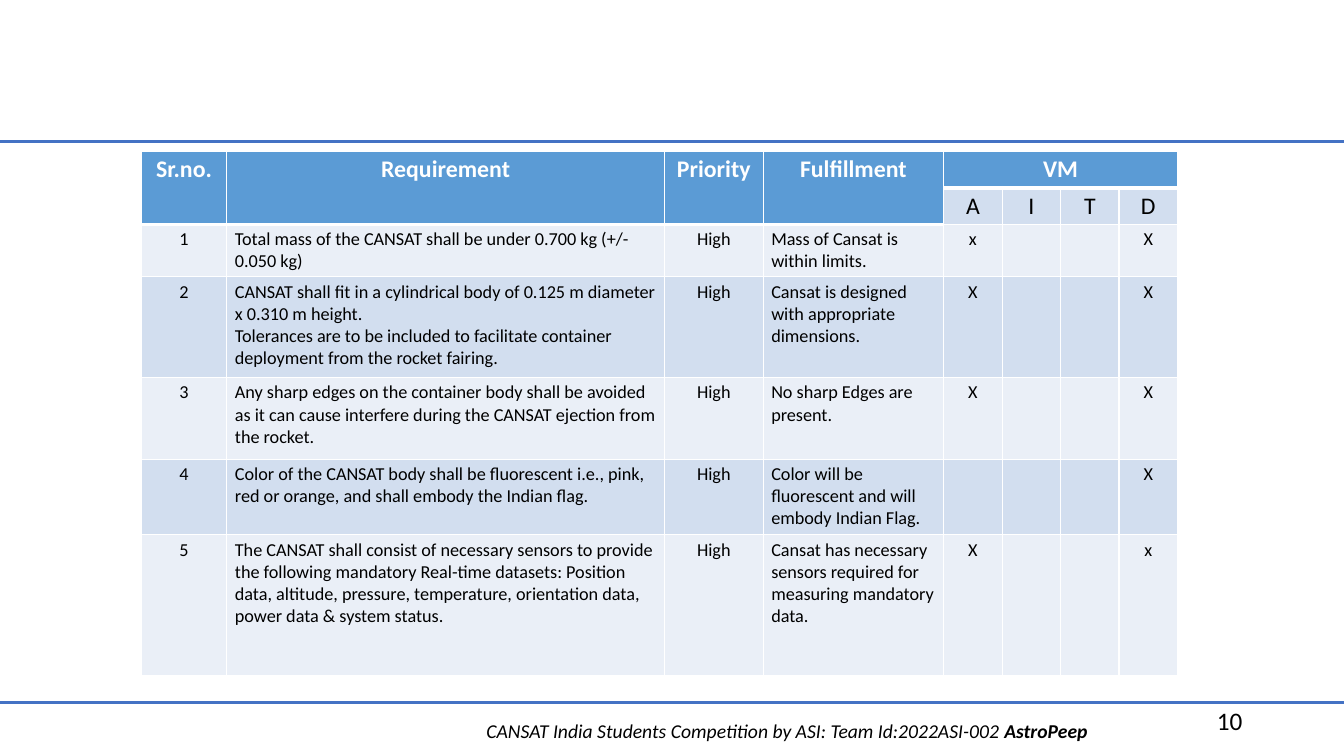
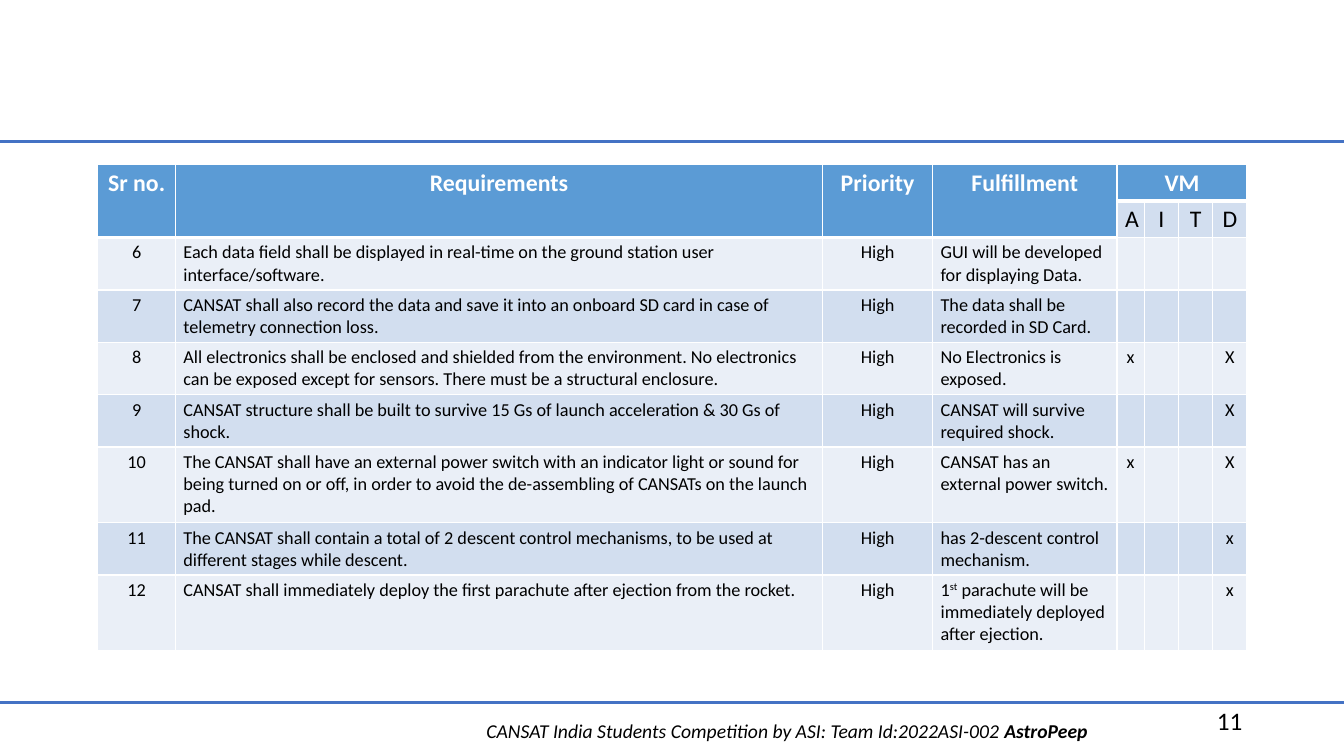
from lxml import etree
from pptx import Presentation
from pptx import util as u
from pptx.dml.color import RGBColor
from pptx.enum import shapes, text
from pptx.oxml import ns

WIDTH, HEIGHT = 13.33, 7.5
COLORS = {"rule": "4472C4", "header": "5B9BD5", "odd": "EAEFF7", "even": "D2DEEF",
          "white": "FFFFFF", "black": "000000"}
FORMATS = {
    "header": {"size": u.Pt(17), "bold": True, "color": "white"},
    "method": {"size": u.Pt(17), "bold": False, "color": "black"},
    "body": {"size": u.Pt(13), "bold": False, "color": "black"},
    "footer": {"size": u.Pt(14), "italic": True, "color": "black"},
    "number": {"size": u.Pt(18), "color": "black"},
}
FOOTER = ("CANSAT India Students Competition by ASI: Team Id:2022ASI-002 ", "AstroPeep")
RULE_TOPS = (6.97, 1.4)
METHODS = ("A", "I", "T", "D")
PRIORITY = "High"
TEXT_COLUMNS = 4
HEADER_ROWS = 2
HEADER_HEIGHT = 0.36
LEFT, CENTER, RIGHT = text.PP_ALIGN.LEFT, text.PP_ALIGN.CENTER, text.PP_ALIGN.RIGHT

PAGES = [
    {
        "number": 10, "first": 1, "left": 1.4, "top": 1.5,
        "columns": (0.85, 4.34, 0.98, 1.79, 0.58, 0.58, 0.58, 0.58),
        "heights": (0.52, 1, 0.81, 0.75, 1.4),
        "headings": ("Sr.no.", "Requirement", "Priority", "Fulfillment", "VM"),
        "requirements": [
            ("Total mass of the CANSAT shall be under 0.700 kg (+/- 0.050 kg)",
             "Mass of Cansat is within limits.", {"A": "x", "D": "X"}),
            ("CANSAT shall fit in a cylindrical body of 0.125 m diameter x 0.310 m height.\n"
             "Tolerances are to be included to facilitate container deployment from the "
             "rocket fairing.",
             "Cansat is designed with appropriate dimensions.", {"A": "X", "D": "X"}),
            ("Any sharp edges on the container body shall be avoided as it can cause "
             "interfere during the CANSAT ejection from the rocket.",
             "No sharp Edges are present.", {"A": "X", "D": "X"}),
            ("Color of the CANSAT body shall be fluorescent i.e., pink, red or orange, and "
             "shall embody the Indian flag.",
             "Color will be fluorescent and will embody Indian Flag.", {"D": "X"}),
            ("The CANSAT shall consist of necessary sensors to provide the following "
             "mandatory Real-time datasets: Position data, altitude, pressure, temperature, "
             "orientation data, power data & system status.",
             "Cansat has necessary sensors required for measuring mandatory data.",
             {"A": "X", "D": "x"}),
        ],
    },
    {
        "number": 11, "first": 6, "left": 0.97, "top": 1.63,
        "columns": (0.77, 6.42, 1.09, 1.83, 0.27, 0.34, 0.34, 0.34),
        "heights": (0.52, 0.52, 0.52, 0.52, 0.75, 0.52, 0.75),
        "headings": ("Sr no.", "Requirements", "Priority", "Fulfillment", "VM"),
        "requirements": [
            ("Each data field shall be displayed in real-time on the ground station user "
             "interface/software.",
             "GUI will be developed for displaying Data.", {}),
            ("CANSAT shall also record the data and save it into an onboard SD card in case "
             "of telemetry connection loss.",
             "The data shall be recorded in SD Card.", {}),
            ("All electronics shall be enclosed and shielded from the environment. No "
             "electronics can be exposed except for sensors. There must be a structural "
             "enclosure.",
             "No Electronics is exposed.", {"A": "x", "D": "X"}),
            ("CANSAT structure shall be built to survive 15 Gs of launch acceleration & 30 "
             "Gs of shock.",
             "CANSAT will survive required shock.", {"D": "X"}),
            ("The CANSAT shall have an external power switch with an indicator light or "
             "sound for being turned on or off, in order to avoid the de-assembling of "
             "CANSATs on the launch pad.",
             "CANSAT has an external power switch.", {"A": "x", "D": "X"}),
            ("The CANSAT shall contain a total of 2 descent control mechanisms, to be used "
             "at different stages while descent.",
             "has 2-descent control mechanism.", {"D": "x"}),
            ("CANSAT shall immediately deploy the first parachute after ejection from the "
             "rocket.",
             "1^st^ parachute will be immediately deployed after ejection.", {"D": "x"}),
        ],
    },
]


def rgb(name):
    return RGBColor.from_string(COLORS[name])


def add_run(paragraph, words, style, **extra):
    run = paragraph.add_run()
    run.text = words
    run.font.name = "Calibri"
    for key, value in {**FORMATS[style], **extra}.items():
        if key == "color":
            run.font.color.rgb = rgb(value)
        else:
            setattr(run.font, key, value)
    return run


def add_label(slide, box, alignment, style, words, bold_words=""):
    frame = slide.shapes.add_textbox(*map(u.Inches, box)).text_frame
    frame.word_wrap = True
    frame.vertical_anchor = text.MSO_ANCHOR.MIDDLE
    paragraph = frame.paragraphs[0]
    paragraph.alignment = alignment
    add_run(paragraph, words, style)
    if bold_words:
        add_run(paragraph, bold_words, style, bold=True)


def add_frame(slide, number):
    add_label(slide, (4.68, 7.08, 6.25, 0.34), CENTER, "footer", *FOOTER)
    for top in RULE_TOPS:
        rule = slide.shapes.add_connector(
            shapes.MSO_CONNECTOR.STRAIGHT, 0, u.Inches(top), u.Inches(WIDTH), u.Inches(top))
        rule.line.color.rgb = rgb("rule")
        rule.line.width = u.Pt(2)
        etree.SubElement(rule._element.spPr, ns.qn("a:effectLst"))
    add_label(slide, (9.42, 6.95, 3, 0.4), RIGHT, "number", str(number))


def set_borders(cell, row, column):
    thick_edge = HEADER_ROWS if column < TEXT_COLUMNS else 1
    points = {
        "L": 1, "R": 1,
        "T": 3 if row == thick_edge else 1,
        "B": 3 if row == 0 or row + 1 == thick_edge else 1,
    }
    properties = cell._tc.get_or_add_tcPr()
    for index, (side, width) in enumerate(points.items()):
        line = etree.Element(ns.qn(f"a:ln{side}"), w=str(u.Pt(width)))
        fill = etree.SubElement(line, ns.qn("a:solidFill"))
        etree.SubElement(fill, ns.qn("a:srgbClr"), val=COLORS["white"])
        properties.insert(index, line)


def fill_cell(cell, words, style, fill, alignment):
    cell.fill.solid()
    cell.fill.fore_color.rgb = rgb(fill)
    cell.margin_left = cell.margin_right = u.Inches(0.08)
    cell.margin_top = cell.margin_bottom = u.Inches(0.04)
    if not words:
        return
    for index, line in enumerate(words.split("\n")):
        frame = cell.text_frame
        paragraph = frame.add_paragraph() if index else frame.paragraphs[0]
        paragraph.alignment = alignment
        for part, piece in enumerate(line.split("^")):
            run = add_run(paragraph, piece, style)
            if part % 2:
                run._r.get_or_add_rPr().set("baseline", "30000")


def add_requirements(slide, page):
    heights = (HEADER_HEIGHT,) * HEADER_ROWS + page["heights"]
    columns = page["columns"]
    box = (page["left"], page["top"], sum(columns), sum(heights))
    table = slide.shapes.add_table(len(heights), len(columns), *map(u.Inches, box)).table
    for column, width in zip(table.columns, columns):
        column.width = u.Inches(width)
    for row, height in zip(table.rows, heights):
        row.height = u.Inches(height)

    blanks = ("",) * TEXT_COLUMNS
    rows = [page["headings"] + ("",) * (len(METHODS) - 1), blanks + METHODS]
    for number, (requirement, fulfillment, marks) in enumerate(
            page["requirements"], page["first"]):
        rows.append((str(number), requirement, PRIORITY, fulfillment)
                    + tuple(marks.get(method, "") for method in METHODS))

    for row, values in enumerate(rows):
        for column, words in enumerate(values):
            cell = table.cell(row, column)
            is_header = row == 0 or (row < HEADER_ROWS and column < TEXT_COLUMNS)
            style = "header" if is_header else "method" if row < HEADER_ROWS else "body"
            fill = "header" if is_header else "even" if row % 2 else "odd"
            alignment = LEFT if style == "body" and column in (1, 3) else CENTER
            fill_cell(cell, words, style, fill, alignment)
            set_borders(cell, row, column)
    for column in range(TEXT_COLUMNS):
        table.cell(0, column).merge(table.cell(HEADER_ROWS - 1, column))
    table.cell(0, TEXT_COLUMNS).merge(table.cell(0, len(columns) - 1))


def main():
    """Build the requirement slides and save the presentation."""
    presentation = Presentation()
    presentation.slide_width = u.Inches(WIDTH)
    presentation.slide_height = u.Inches(HEIGHT)
    for page in PAGES:
        slide = presentation.slides.add_slide(presentation.slide_layouts[6])
        add_frame(slide, page["number"])
        add_requirements(slide, page)
    presentation.save("out.pptx")


if __name__ == "__main__":
    main()
